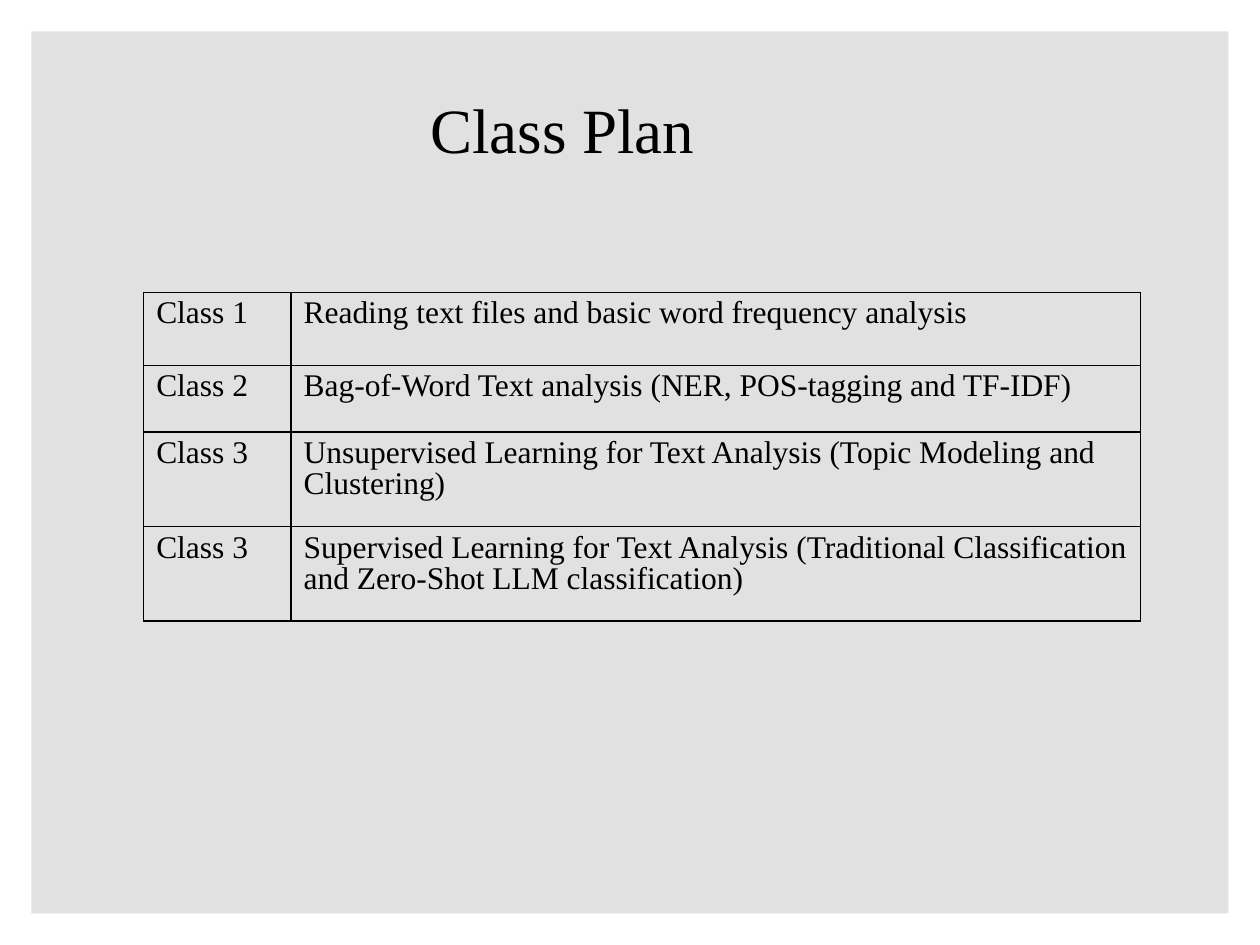
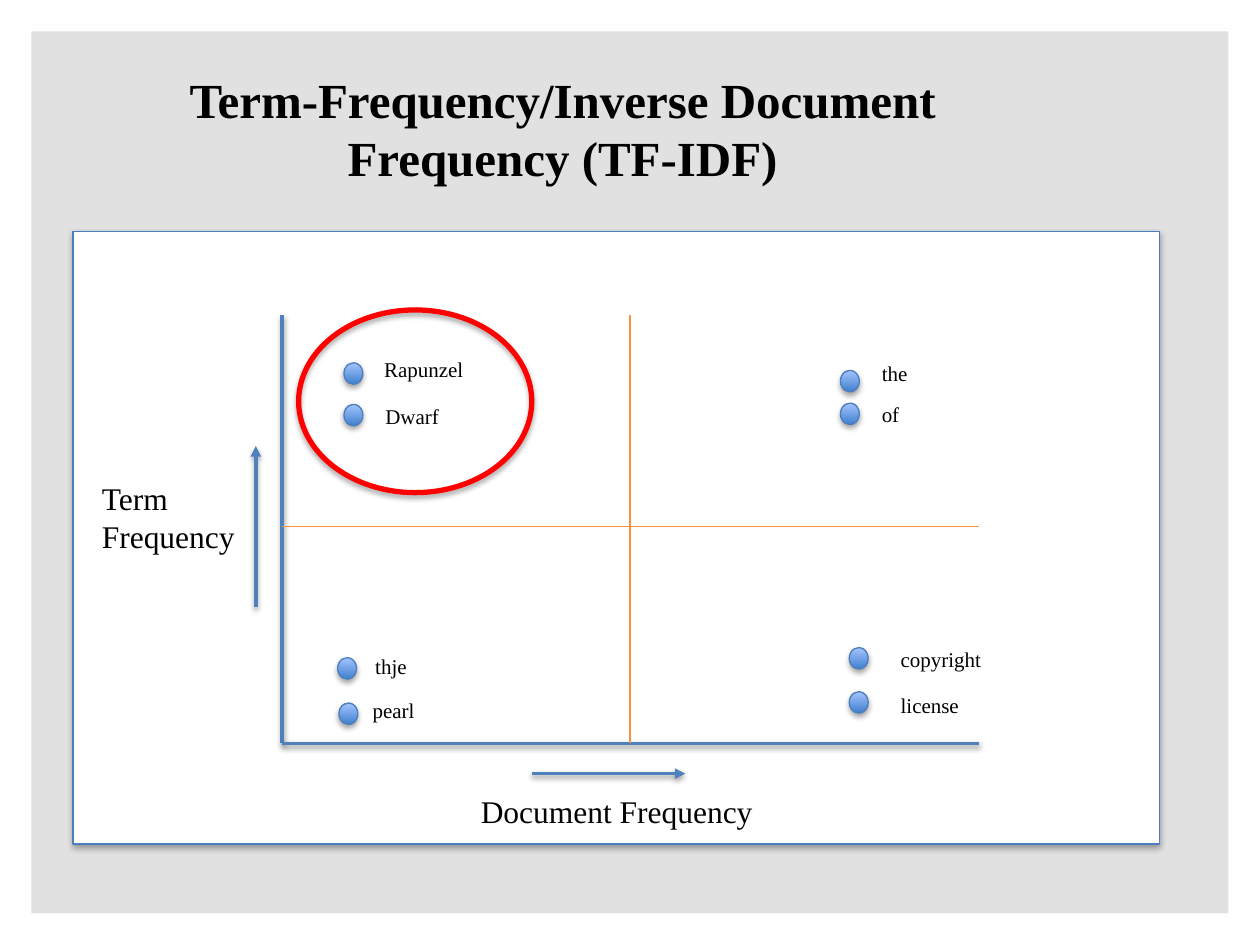
from lxml.etree import SubElement
from pptx import Presentation
from pptx.dml.color import RGBColor
from pptx.enum.shapes import MSO_CONNECTOR as Connector, MSO_SHAPE as Shape
from pptx.enum.text import MSO_ANCHOR as Anchor, PP_ALIGN as Align
from pptx.oxml.ns import qn
from pptx.util import Inches, Pt

COLORS = {
    "backdrop": "E1E1E1", "white": "FFFFFF", "text": "000000",
    "axis": "4F81BD", "outline": "4B7EBC", "divider": "F69240",
    "highlight": "FF0000", "dot_low": "3F80CE", "dot_high": "A4C4FF",
}
FONT = "Times New Roman"
COLUMNS, ROWS = 100, 75


def color(name):
    return RGBColor.from_string(COLORS[name])


class Deck:
    """Holds the style and the current slide; lengths are grid columns and rows."""

    def __init__(self):
        self.prs = Presentation()
        self.prs.slide_width, self.prs.slide_height = Inches(10), Inches(7.5)
        self.slide = None

    def x(self, columns):
        return round(self.prs.slide_width * columns / COLUMNS)

    def y(self, rows):
        return round(self.prs.slide_height * rows / ROWS)

    def box(self, left, top, width, height):
        return self.x(left), self.y(top), self.x(width), self.y(height)

    def new_slide(self, title, size, bold=False):
        self.slide = self.prs.slides.add_slide(self.prs.slide_layouts[6])
        self.shape(Shape.RECTANGLE, (2.5, 2.5, 95, 70), fill="backdrop")
        self.text(title, (5.1, 4.8, 79.1, 10.7), size, bold, Align.CENTER, Anchor.MIDDLE)

    def style(self, paragraph, size, bold=False):
        font = paragraph.font
        font.name, font.size, font.bold = FONT, Pt(size), bold
        font.color.rgb = color("text")

    def text(self, text, area, size, bold=False, align=Align.LEFT, anchor=Anchor.TOP):
        frame = self.slide.shapes.add_textbox(*self.box(*area)).text_frame
        frame.word_wrap, frame.vertical_anchor = True, anchor
        frame.text = text
        for paragraph in frame.paragraphs:
            paragraph.alignment = align
            self.style(paragraph, size, bold)

    def shadow(self, element, opacity, distance):
        props = element.spPr
        effects = props.find(qn("a:effectLst"))
        if effects is None:
            effects = SubElement(props, qn("a:effectLst"))
        if opacity:
            outer = SubElement(effects, qn("a:outerShdw"), blurRad=str(Pt(3.1)),
                               dist=str(Pt(distance)), dir="5400000", rotWithShape="0")
            black = SubElement(outer, qn("a:srgbClr"), val=COLORS["text"])
            SubElement(black, qn("a:alpha"), val=str(opacity * 1000))

    def shape(self, kind, area, fill=None, line=None, weight=0.75):
        shape = self.slide.shapes.add_shape(kind, *self.box(*area))
        shape.shadow.inherit = False
        if fill:
            shape.fill.solid()
            shape.fill.fore_color.rgb = color(fill)
        else:
            shape.fill.background()
        if line:
            shape.line.color.rgb = color(line)
            shape.line.width = Pt(weight)
            self.shadow(shape._element, 35, 1.8)
        else:
            shape.line.fill.background()
        return shape

    def dot(self, left, top):
        dot = self.shape(Shape.OVAL, (left, top, 1.5, 1.7), line="outline")
        dot.fill.gradient()
        dot.fill.gradient_angle = 90
        for stop, name in zip(dot.fill.gradient_stops, ("dot_low", "dot_high")):
            stop.color.rgb = color(name)
        for stop, position in zip(dot.fill.gradient_stops, (0, 1)):
            stop.position = position

    def line(self, start, end, name="axis", weight=2, opacity=38, arrow=False):
        line = self.slide.shapes.add_connector(
            Connector.STRAIGHT, self.x(start[0]), self.y(start[1]),
            self.x(end[0]), self.y(end[1]))
        line.line.color.rgb = color(name)
        line.line.width = Pt(weight)
        if arrow:
            SubElement(line.line._get_or_add_ln(), qn("a:tailEnd"), type="triangle")
        self.shadow(line._element, opacity, 1.6)

    def cell_borders(self, cell):
        props = cell._tc.get_or_add_tcPr()
        for side in ("lnL", "lnR", "lnT", "lnB"):
            border = SubElement(props, qn(f"a:{side}"), w=str(Pt(1)))
            fill = SubElement(border, qn("a:solidFill"))
            SubElement(fill, qn("a:srgbClr"), val=COLORS["text"])

    def table(self, entries, left, top, widths, heights, size):
        area = self.box(left, top, sum(widths), sum(heights))
        table = self.slide.shapes.add_table(len(heights), len(widths), *area).table
        table.first_row = table.horz_banding = False
        for column, width in zip(table.columns, widths):
            column.width = self.x(width)
        for row, height, texts in zip(table.rows, heights, entries):
            row.height = self.y(height)
            for cell, text in zip(row.cells, texts):
                cell.text = text
                paragraph = cell.text_frame.paragraphs[0]
                paragraph.line_spacing = 0.9
                self.style(paragraph, size)
                self.cell_borders(cell)
                cell.fill.background()


def class_plan(deck):
    deck.new_slide("Class Plan", 36)
    classes = [
        ("Class 1", "Reading text files and basic word frequency analysis"),
        ("Class 2", "Bag-of-Word Text analysis (NER, POS-tagging and TF-IDF)"),
        ("Class 3", "Unsupervised Learning for Text Analysis (Topic Modeling and Clustering)"),
        ("Class 3", "Supervised Learning for Text Analysis "
                    "(Traditional Classification and Zero-Shot LLM classification)"),
    ]
    deck.table(classes, 11.4, 23.2, (11.7, 67.4), (5.8, 5.3, 7.5, 7.5), 18)


def tf_idf(deck):
    deck.new_slide("Term-Frequency/Inverse Document Frequency (TF-IDF)", 28, bold=True)
    deck.shape(Shape.RECTANGLE, (5.8, 18.4, 86.2, 48.6), "white", "outline")

    # Axes with their captions and direction arrows
    left, right, top, bottom = 22.4, 77.7, 25, 59
    deck.line((left, top), (left, bottom))
    deck.line((left, bottom), (right, bottom))
    deck.text("Document Frequency", (30.4, 62.4, 37.1, 4), 18, align=Align.CENTER)
    deck.text("Term\nFrequency", (7.1, 37.5, 13.2, 7.1), 18)
    deck.line((42.2, 61.4), (54.4, 61.4), arrow=True)
    deck.line((20.3, 48.2), (20.3, 35.4), arrow=True)

    # Words: dot corner, then label corner
    words = [
        ("the", (66.7, 29.4), (69, 28.1)),
        ("of", (66.7, 32), (69, 31.4)),
        ("Rapunzel", (27.3, 28.8), (29.5, 27.8)),
        ("Dwarf", (27.3, 32.1), (29.6, 31.5)),
        ("copyright", (67.4, 51.4), (70.5, 50.8)),
        ("license", (67.4, 54.9), (70.5, 54.5)),
        ("thje", (26.8, 52.2), (28.8, 51.4)),
        ("pearl", (26.9, 55.8), (28.6, 54.9)),
    ]
    for word, dot, label in words:
        deck.dot(*dot)
        deck.text(word, (*label, 12.7, 3), 12)

    # Quadrant dividers and the highlighted terms
    middle_x, middle_y = 50, 41.8
    divider = {"name": "divider", "weight": 0.75, "opacity": 0}
    deck.line((left, middle_y), (right, middle_y), **divider)
    deck.line((middle_x, bottom), (middle_x, top), **divider)
    deck.shape(Shape.OVAL, (23.7, 24.6, 18.5, 14.5), line="highlight", weight=3)


def main():
    deck = Deck()
    class_plan(deck)
    tf_idf(deck)
    deck.prs.save("out.pptx")


if __name__ == "__main__":
    main()
